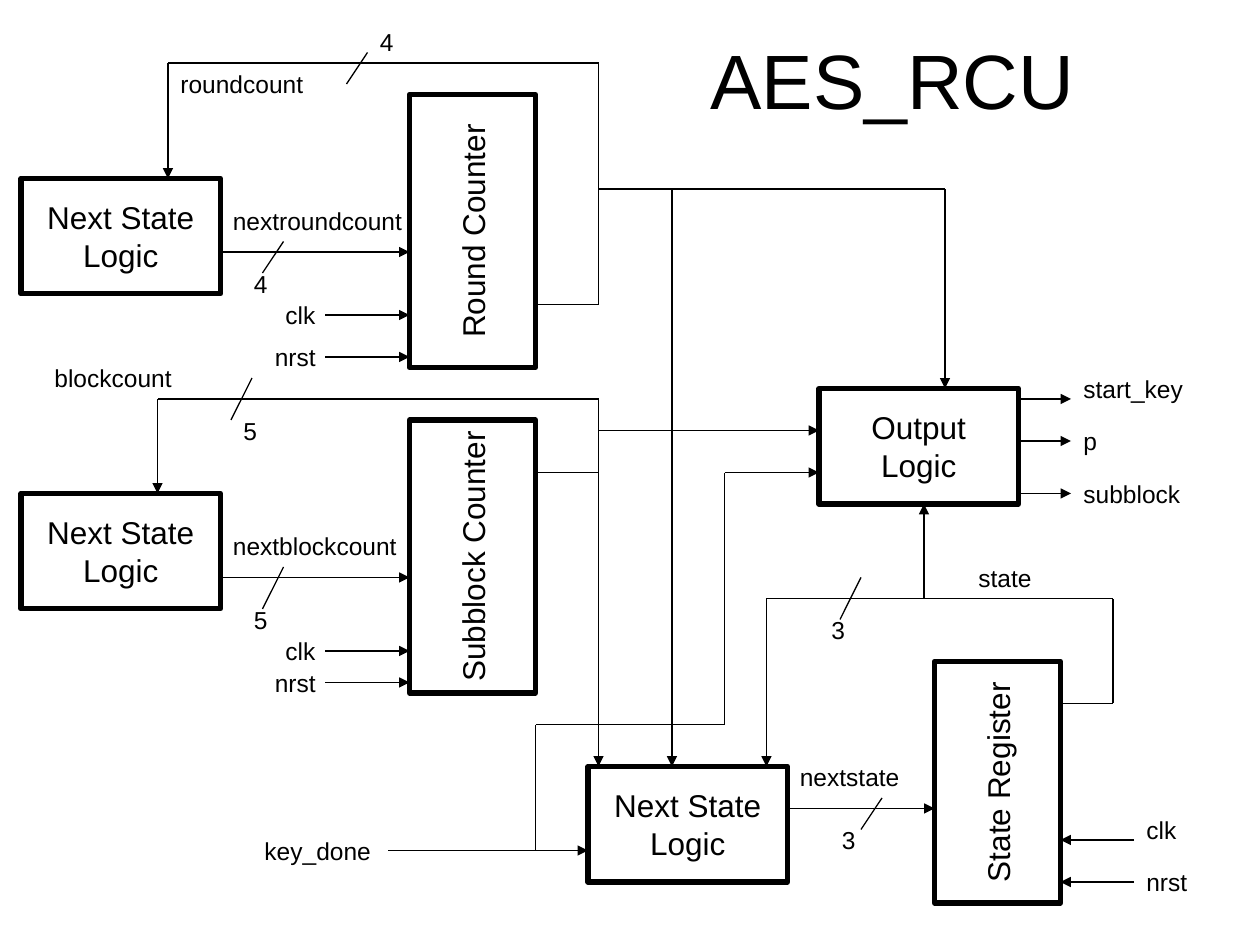
import itertools
from collections import namedtuple

import lxml.etree
import pptx
import pptx.dml.color
import pptx.enum.shapes
import pptx.enum.text
import pptx.oxml.ns
import pptx.util

COLORS = {"ink": "000000", "paper": "FFFFFF"}
FONT = "Arial"
COLUMNS, ROWS = 120, 90
CELL = pptx.util.Inches(10) // COLUMNS
LOGIC_SIZE = (19, 11)
LABEL_ROWS = 4

Box = namedtuple("Box", "column row columns rows")
Signal = namedtuple("Signal", "text column row columns")


def color(name):
    return pptx.dml.color.RGBColor.from_string(COLORS[name])


def inside(region, column, row, columns, rows):
    return Box(region.column + column, region.row + row, columns, rows)


def lengths(box):
    return [CELL * value for value in box]


def write_text(shape, text, size=14, align="LEFT", anchor="TOP", wrap=True, vertical=False):
    frame = shape.text_frame
    frame.text = text
    frame.word_wrap = wrap
    frame.vertical_anchor = getattr(pptx.enum.text.MSO_ANCHOR, anchor)
    if vertical:
        shape.element.find(".//" + pptx.oxml.ns.qn("a:bodyPr")).set("vert", "vert270")
    for paragraph in frame.paragraphs:
        paragraph.alignment = getattr(pptx.enum.text.PP_ALIGN, align)
        font = paragraph.runs[0].font
        font.name = FONT
        font.size = pptx.util.Pt(size)
        font.color.rgb = color("ink")


def draw_title(slide, box, text):
    shape = slide.shapes.add_textbox(*lengths(box))
    write_text(shape, text, size=44, align="CENTER", anchor="MIDDLE")


def draw_block(slide, box, text, vertical=False):
    shape = slide.shapes.add_shape(pptx.enum.shapes.MSO_SHAPE.RECTANGLE, *lengths(box))
    shape.shadow.inherit = False
    shape.fill.solid()
    shape.fill.fore_color.rgb = color("paper")
    shape.line.color.rgb = color("ink")
    shape.line.width = pptx.util.Pt(3)
    write_text(shape, text, size=18, align="CENTER", anchor="MIDDLE", wrap=False, vertical=vertical)


def draw_label(slide, region, signal):
    box = inside(region, signal.column, signal.row, signal.columns, LABEL_ROWS)
    write_text(slide.shapes.add_textbox(*lengths(box)), signal.text)


def draw_wire(slide, region, *points, arrow=True):
    segments = list(itertools.pairwise(points))
    for number, (start, end) in enumerate(segments, 1):
        ends = [CELL * value for column, row in (start, end)
                for value in (region.column + column, region.row + row)]
        wire = slide.shapes.add_connector(pptx.enum.shapes.MSO_CONNECTOR.STRAIGHT, *ends)
        wire.line.color.rgb = color("ink")
        wire.line.width = pptx.util.Pt(0.75)
        properties = wire.element.spPr
        if arrow and number == len(segments):
            line = properties.find(pptx.oxml.ns.qn("a:ln"))
            lxml.etree.SubElement(line, pptx.oxml.ns.qn("a:tailEnd"), type="triangle")
        lxml.etree.SubElement(properties, pptx.oxml.ns.qn("a:effectLst"))


def draw_slash(slide, region, column, row, rows):
    draw_wire(slide, region, (column, row), (column - 2, row + rows), arrow=False)


def draw_counter_stage(slide, box, name, logic_row, clock_row, feedback, count, count_width,
                       next_count, next_width, count_slash, slash_rows):
    counter_left = box.columns - 12
    draw_block(slide, inside(box, 0, logic_row, *LOGIC_SIZE), "Next State\nLogic")
    draw_block(slide, inside(box, counter_left, 0, 12, box.rows), name, vertical=True)
    draw_wire(slide, box, (LOGIC_SIZE[0], 15), (counter_left, 15))
    for text, column, row, columns in (("clk", 24, clock_row, 9), ("nrst", 23, 25, 7)):
        draw_wire(slide, box, (29, row), (counter_left, row))
        draw_label(slide, box, Signal(text, column, row - 2, columns))
    output_row, top_row, column = feedback
    right = box.columns + 6
    draw_wire(slide, box, (box.columns, output_row), (right, output_row),
              (right, top_row), (column, top_row), (column, logic_row))
    draw_slash(slide, box, *count_slash, slash_rows)
    draw_slash(slide, box, 25, 14, slash_rows)
    for signal in (count, count_width, next_count, next_width):
        draw_label(slide, box, signal)


def draw_state_stage(slide, box):
    register_left = box.columns - 12
    draw_block(slide, inside(box, 0, 10, *LOGIC_SIZE), "Next State\nLogic")
    draw_block(slide, inside(box, register_left, 0, 12, box.rows), "State Register", vertical=True)
    draw_wire(slide, box, (LOGIC_SIZE[0], 14), (register_left, 14))
    for row in (17, 21):
        draw_wire(slide, box, (box.columns + 7, row), (box.columns, row))
    draw_wire(slide, box, (box.columns, 4), (50, 4), (50, -6), (17, -6), (17, 10))
    draw_wire(slide, box, (32, -6), (32, -15))
    draw_slash(slide, box, 28, 13, 3)
    draw_slash(slide, box, 26, -8, 4)
    for signal in (Signal("clk", 52, 14, 9), Signal("nrst", 52, 19, 7),
                   Signal("nextstate", 19, 9, 13), Signal("3", 23, 15, 4),
                   Signal("state", 36, -10, 12), Signal("3", 22, -5, 4)):
        draw_label(slide, box, signal)


def draw_output_stage(slide, box):
    draw_block(slide, box, "Output\nLogic")
    for row in (1, 5, 10):
        draw_wire(slide, box, (box.columns, row), (box.columns + 5, row))
    for text, row, columns in (("start_key", -2, 13), ("p", 3, 10), ("subblock", 8, 14)):
        draw_label(slide, box, Signal(text, box.columns + 5, row, columns))


def draw_links(slide, box):
    draw_wire(slide, box, (57, 18), (90, 18), (90, 37))
    draw_wire(slide, box, (64, 18), (64, 73))
    draw_wire(slide, box, (57, 45), (57, 73))
    draw_wire(slide, box, (57, 41), (78, 41))
    draw_wire(slide, box, (37, 81), (56, 81))
    draw_wire(slide, box, (51, 81), (51, 69), (69, 69), (69, 45), (78, 45))
    draw_label(slide, box, Signal("key_done", 24, 79, 14))


def main():
    presentation = pptx.Presentation()
    presentation.slide_width = CELL * COLUMNS
    presentation.slide_height = CELL * ROWS
    slide = presentation.slides.add_slide(presentation.slide_layouts[6])
    draw_title(slide, Box(31, 0, 108, 15), "AES_RCU")
    draw_counter_stage(
        slide, Box(2, 9, 49, 26), "Round Counter", logic_row=8, clock_row=21,
        feedback=(20, -3, 14), count=Signal("roundcount", 14, -3, 17),
        count_width=Signal("4", 33, -7, 5), next_count=Signal("nextroundcount", 19, 10, 19),
        next_width=Signal("4", 21, 16, 4), count_slash=(33, -4), slash_rows=3)
    draw_counter_stage(
        slide, Box(2, 40, 49, 26), "Subblock Counter", logic_row=7, clock_row=22,
        feedback=(5, -2, 13), count=Signal("blockcount", 2, -6, 14),
        count_width=Signal("5", 20, -1, 4), next_count=Signal("nextblockcount", 19, 10, 20),
        next_width=Signal("5", 21, 17, 4), count_slash=(22, -4), slash_rows=4)
    draw_state_stage(slide, Box(56, 63, 45, 23))
    draw_output_stage(slide, Box(78, 37, *LOGIC_SIZE))
    draw_links(slide, Box(0, 0, COLUMNS, ROWS))
    presentation.save("out.pptx")


if __name__ == "__main__":
    main()
